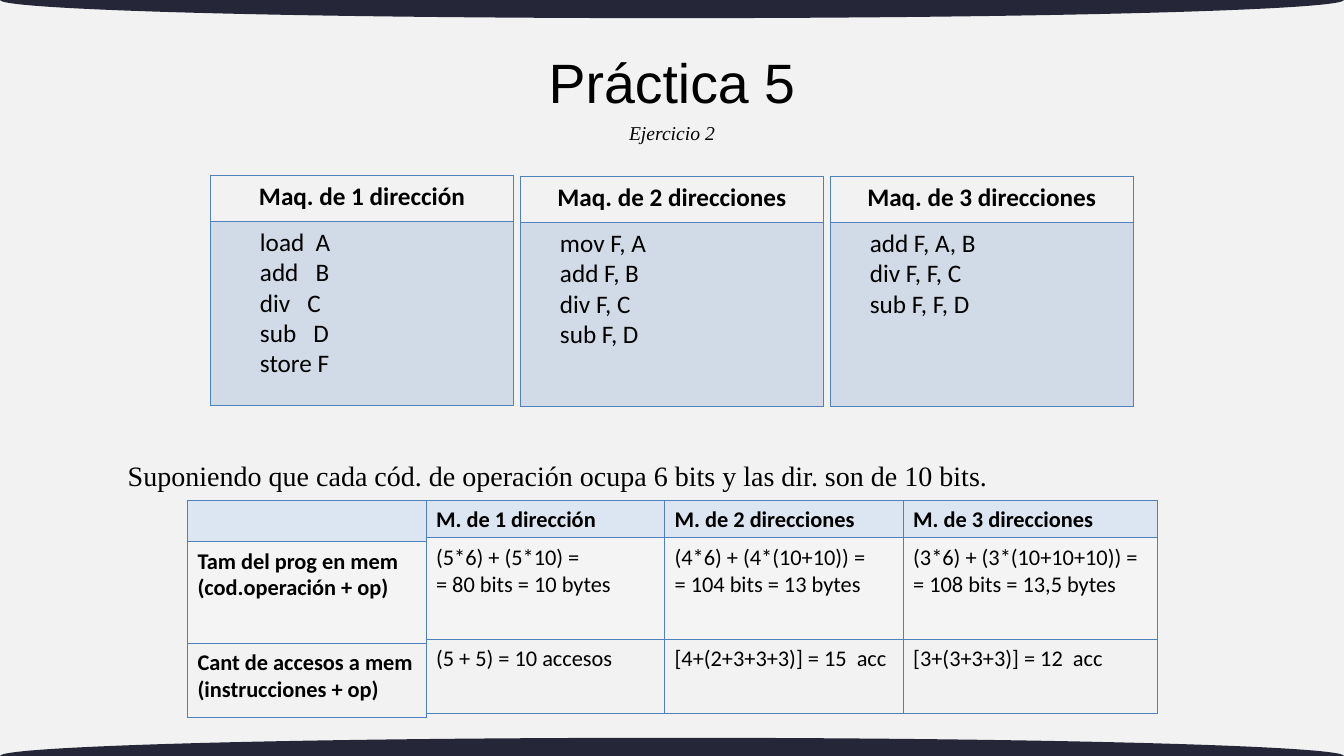
from lxml.etree import SubElement
from pptx import Presentation
from pptx.dml.color import RGBColor
from pptx.enum.shapes import MSO_SHAPE
from pptx.enum.text import MSO_ANCHOR, PP_ALIGN
from pptx.oxml import parse_xml
from pptx.oxml.ns import nsdecls, qn
from pptx.util import Pt

THEME = {
    "paper": "F2F2F2", "band": "252738", "ink": "000000",
    "accent": "4F81BD", "header": "DCE6F2", "white": "FFFFFF",
    "title": {"name": "Arial", "size": Pt(39.6)},
    "subtitle": {"name": "Times New Roman", "size": Pt(14), "italic": True},
    "sentence": {"name": "Times New Roman", "size": Pt(20)},
    "code": {"name": "Calibri", "size": Pt(18)},
    "summary": {"name": "Calibri", "size": Pt(16)},
}
CENTER = {"alignment": PP_ALIGN.CENTER}


def write(tf, text, font, para, bold=False, indent=0):
    for i, line in enumerate(text.split("\n")):
        p = tf.paragraphs[0] if i == 0 else tf.add_paragraph()
        for name, value in para.items():
            setattr(p, name, value)
        if indent:
            p._p.get_or_add_pPr().set("marL", str(Pt(indent)))
        r = p.add_run()
        r.text = line
        for name, value in {**font, "bold": bold}.items():
            setattr(r.font, name, value)
        r.font.color.rgb = RGBColor.from_string(THEME["ink"])


def add_column(s, left, top, width, heights, cells):
    frame = s.shapes.add_table(len(cells), 1, Pt(left), Pt(top), Pt(width), Pt(sum(heights)))
    table = frame.table
    table.first_row = table.horz_banding = False
    for i, (height, (text, font, para, bold, indent, fill, alpha)) in enumerate(zip(heights, cells)):
        table.rows[i].height = Pt(height)
        cell = table.cell(i, 0)
        margins = {"margin_left": 7.2, "margin_right": 7.2, "margin_top": 4.3, "margin_bottom": 3.6}
        for name, value in margins.items():
            setattr(cell, name, Pt(value))
        write(cell.text_frame, text, font, {"line_spacing": 0.98, **para}, bold, indent)
        tcPr = cell._tc.get_or_add_tcPr()
        if fill:
            cell.fill.solid()
            cell.fill.fore_color.rgb = RGBColor.from_string(THEME[fill])
            if alpha < 100:
                color = tcPr.find(".//" + qn("a:srgbClr"))
                SubElement(color, qn("a:alpha")).set("val", str(alpha * 1000))
        else:
            cell.fill.background()
        for k, side in enumerate("LRTB"):
            tcPr.insert(k, parse_xml(
                f'<a:ln{side} {nsdecls("a")} w="{Pt(0.75)}"><a:solidFill>'
                f'<a:srgbClr val="{THEME["accent"]}"/></a:solidFill></a:ln{side}>'))


prs = Presentation()
prs.slide_width, prs.slide_height = Pt(960), Pt(540)
s = prs.slides.add_slide(prs.slide_layouts[5])
s.background.fill.solid()
s.background.fill.fore_color.rgb = RGBColor.from_string(THEME["paper"])

for edge in (0, 540):
    sp = s.shapes.add_shape(MSO_SHAPE.OVAL, 0, Pt(edge - 13), Pt(960), Pt(26))
    sp.shadow.inherit = False
    sp.fill.solid()
    sp.fill.fore_color.rgb = RGBColor.from_string(THEME["band"])
    sp.line.fill.background()

title = s.shapes.title
box = {"left": 252.6, "top": 27.4, "width": 454.8, "height": 67.6}
for name, value in box.items():
    setattr(title, name, Pt(value))
title.text_frame.vertical_anchor = MSO_ANCHOR.MIDDLE
write(title.text_frame, "Práctica 5", THEME["title"], {"line_spacing": 0.9, **CENTER})

subtitle = s.shapes.add_textbox(Pt(316.6), Pt(83), Pt(326.8), Pt(24.2))
subtitle.text_frame.word_wrap = True
write(subtitle.text_frame, "Ejercicio 2", THEME["subtitle"], CENTER)

programs = [
    ("Maq. de 1 dirección", "load  A\nadd   B\ndiv   C\nsub   D\nstore F", 28, 125.3),
    ("Maq. de 2 direcciones", "mov F, A\nadd F, B\ndiv F, C\nsub F, D", 21, 126),
    ("Maq. de 3 direcciones", "add F, A, B\ndiv F, F, C\nsub F, F, D", 21, 126),
]
for i, (heading, code, indent, top) in enumerate(programs):
    add_column(s, 150.5 + 221.3 * i, top, 216.3, (33.1, 131), [
        (heading, THEME["code"], CENTER, True, 0, None, 100),
        (code, THEME["code"], {}, False, indent, "accent", 20),
    ])

sentence = s.shapes.add_textbox(Pt(84.2), Pt(308.2), Pt(792), Pt(41.8))
tf = sentence.text_frame
tf.word_wrap = True
for name in ("margin_left", "margin_right", "margin_top", "margin_bottom"):
    setattr(tf, name, Pt(7.2))
write(tf, "Suponiendo que cada cód. de operación ocupa 6 bits y las dir. son de 10 bits.",
      THEME["sentence"], {"line_spacing": 1.5})

summary = [
    ("", "Tam del prog en mem\n(cod.operación + op)", "Cant de accesos a mem\n(instrucciones + op)"),
    ("M. de 1 dirección", "(5*6) + (5*10) =\n= 80 bits = 10 bytes", "(5 + 5) = 10 accesos"),
    ("M. de 2 direcciones", "(4*6) + (4*(10+10)) =\n= 104 bits = 13 bytes", "[4+(2+3+3+3)] = 15  acc"),
    ("M. de 3 direcciones", "(3*6) + (3*(10+10+10)) =\n= 108 bits = 13,5 bytes", "[3+(3+3+3)] = 12  acc"),
]
for i, (heading, size, accesses) in enumerate(summary):
    labels = i == 0
    add_column(s, 133.9 + 170.4 * i, 357.5, 181.4 if i == 3 else 170.4, (26.6, 72.7, 52.6), [
        (heading, THEME["summary"], {}, True, 0, "header", 100),
        (size, THEME["summary"], {}, labels, 0, "white", 20),
        (accesses, THEME["summary"], {}, labels, 0, None, 100),
    ])

prs.save("out.pptx")
